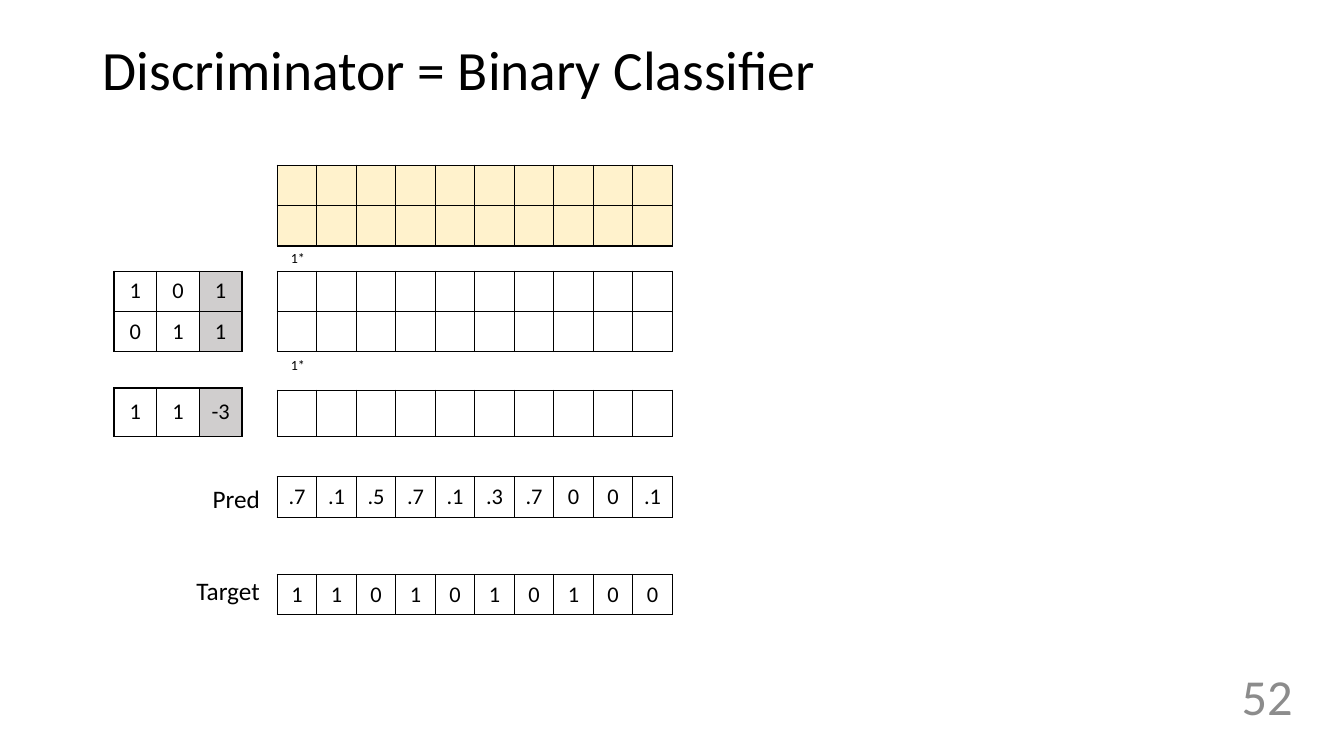
import pptx
import pptx.dml.color
import pptx.enum.text
import pptx.oxml
import pptx.oxml.ns
import pptx.util

Inches, Pt = pptx.util.Inches, pptx.util.Pt
ALIGN, ANCHOR = pptx.enum.text.PP_ALIGN, pptx.enum.text.MSO_ANCHOR

SLIDE_WIDTH, SLIDE_HEIGHT = 13.33, 7.5
CELL_WIDTH, CELL_HEIGHT = 0.39, 0.4
SAMPLES = 10
SAMPLES_LEFT, SAMPLES_WIDTH = 2.75, 3.92
WEIGHTS_LEFT, WEIGHTS_WIDTH = 1.13, 1.27
BIAS_WIDTH = 1.22
YELLOW, GREY = "FFF2CC", "D0CECE"

presentation = pptx.Presentation()
presentation.slide_width = Inches(SLIDE_WIDTH)
presentation.slide_height = Inches(SLIDE_HEIGHT)
slide = presentation.slides.add_slide(presentation.slide_layouts[6])


def style_paragraph(paragraph, size, color, align):
    paragraph.alignment = align
    paragraph.font.name = "Calibri"
    paragraph.font.size = Pt(size)
    paragraph.font.color.rgb = pptx.dml.color.RGBColor.from_string(color)


def add_matrix(left, top, width, row_height, rows, size=16, border=True, fills=()):
    """Draw rows of texts as a table; fills holds one colour or None per column."""
    columns = len(rows[0])
    table = slide.shapes.add_table(
        len(rows), columns, Inches(left), Inches(top),
        Inches(width), Inches(row_height * len(rows))).table
    table.first_row = table.horz_banding = False
    line = '<a:solidFill><a:srgbClr val="000000"/></a:solidFill>' if border else "<a:noFill/>"
    for column in table.columns:
        column.width = Inches(width / columns)
    for r, texts in enumerate(rows):
        table.rows[r].height = Inches(row_height)
        for c, text in enumerate(texts):
            cell = table.cell(r, c)
            cell.text = text
            cell.vertical_anchor = ANCHOR.MIDDLE
            cell.margin_left = cell.margin_right = Inches(0.04)
            cell.margin_top = cell.margin_bottom = 0
            style_paragraph(cell.text_frame.paragraphs[0], size, "000000", ALIGN.CENTER)
            properties = cell._tc.get_or_add_tcPr()
            for side in "LRTB":
                properties.append(pptx.oxml.parse_xml(
                    f'<a:ln{side} {pptx.oxml.ns.nsdecls("a")} w="12700">{line}</a:ln{side}>'))
            if fills and fills[c]:
                cell.fill.solid()
                cell.fill.fore_color.rgb = pptx.dml.color.RGBColor.from_string(fills[c])
            else:
                cell.fill.background()


# Text: left, top, width, height, wording, size, colour, alignment, anchor, wrap
for left, top, width, height, text, size, color, align, anchor, wrap in [
    (0.92, 0.4, 11.5, 0.55, "Discriminator = Binary Classifier", 39.6, "000000",
     ALIGN.LEFT, ANCHOR.MIDDLE, True),
    (11.67, 6.47, 1.25, 0.86, "52", 36, "8C8C8C", ALIGN.RIGHT, ANCHOR.MIDDLE, True),
    (2.01, 4.75, 0.68, 0.4, "Pred", 18, "000000", ALIGN.LEFT, ANCHOR.TOP, False),
    (1.85, 5.66, 0.84, 0.4, "Target", 18, "000000", ALIGN.LEFT, ANCHOR.TOP, False),
]:
    frame = slide.shapes.add_textbox(
        Inches(left), Inches(top), Inches(width), Inches(height)).text_frame
    frame.word_wrap = wrap
    frame.vertical_anchor = anchor
    frame.text = text
    style_paragraph(frame.paragraphs[0], size, color, align)

# Sample grids, one column per sample
blank_row = [""] * SAMPLES
predictions = [".7", ".1", ".5", ".7", ".1", ".3", ".7", "0", "0", ".1"]
targets = list("1101010100")
for top, row_height, rows, fill in [
    (1.64, CELL_HEIGHT, [blank_row] * 2, YELLOW),
    (2.69, CELL_HEIGHT, [blank_row] * 2, None),
    (3.87, 0.46, [blank_row], None),
    (4.73, CELL_HEIGHT, [predictions], None),
    (5.7, CELL_HEIGHT, [targets], None),
]:
    add_matrix(SAMPLES_LEFT, top, SAMPLES_WIDTH, row_height, rows, fills=[fill] * SAMPLES)

# Layer weights, with the bias in the last column
for top, row_height, weights in [
    (2.69, CELL_HEIGHT, [["1", "0", "1"], ["0", "1", "1"]]),
    (3.85, 0.48, [["1", "1", "-3"]]),
]:
    add_matrix(WEIGHTS_LEFT, top, WEIGHTS_WIDTH, row_height, weights, fills=[None, None, GREY])

# Bias inputs
for top in (2.41, 3.47):
    add_matrix(SAMPLES_LEFT, top, BIAS_WIDTH, 0.32, [["1*", "", ""]], size=10, border=False)

presentation.save("out.pptx")
